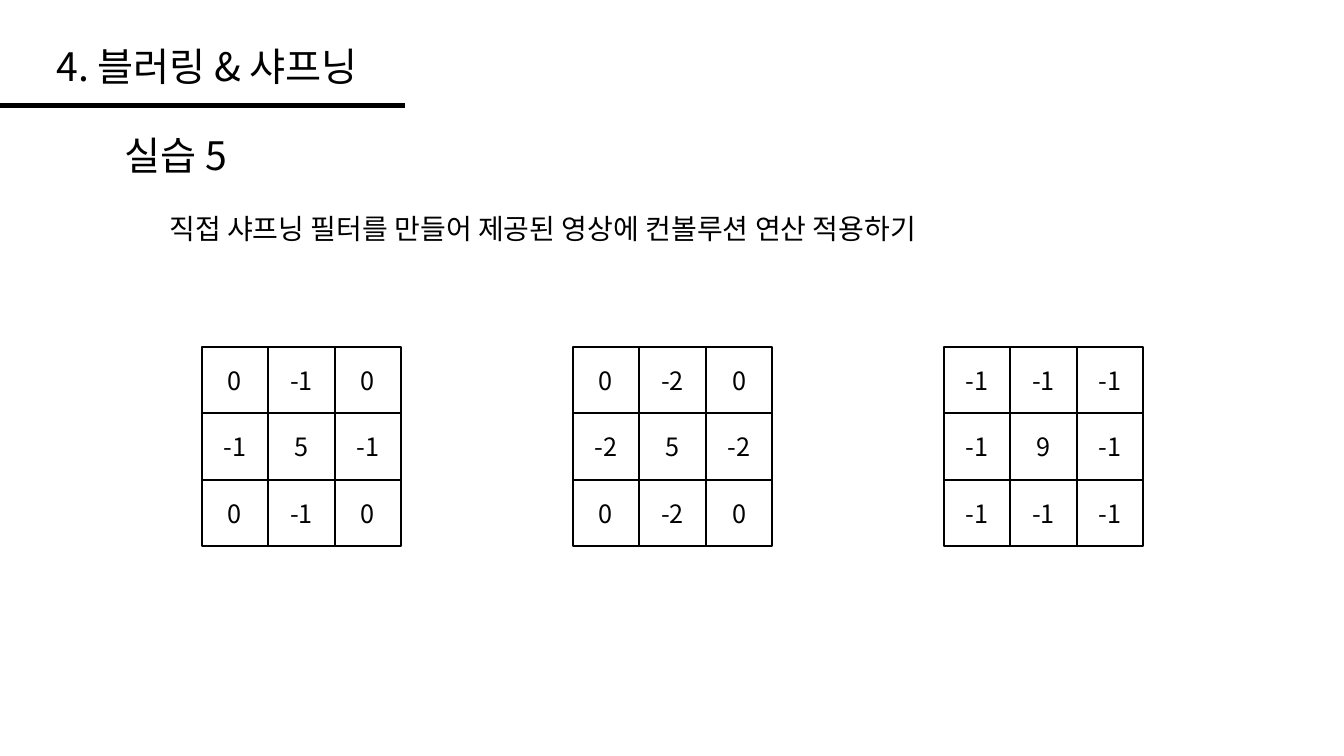
import pptx
import pptx.util
import pptx.dml.color
import pptx.enum.shapes
import pptx.enum.text
import pptx.oxml
import pptx.oxml.ns

WIDTH, HEIGHT = 13.33, 7.5
FONT = "Noto Sans CJK KR"
COLORS = {"ink": "000000", "paper": "FFFFFF"}

# Filter grid: cell side, first corner and distance between filters
CELL = 0.66
FILTER_LEFT, FILTER_TOP = 2, 3.44
FILTER_STEP = 3.68
FILTERS = [
    [[0, -1, 0], [-1, 5, -1], [0, -1, 0]],
    [[0, -2, 0], [-2, 5, -2], [0, -2, 0]],
    [[-1, -1, -1], [-1, 9, -1], [-1, -1, -1]],
]


def inches(*lengths):
    return [pptx.util.Inches(length) for length in lengths]


def color(name):
    return pptx.dml.color.RGBColor.from_string(COLORS[name])


def write_text(shape, text, size=18, centered=False, line_spacing=None):
    frame = shape.text_frame
    frame.word_wrap = True
    paragraph = frame.paragraphs[0]
    if centered:
        paragraph.alignment = pptx.enum.text.PP_ALIGN.CENTER
        frame.vertical_anchor = pptx.enum.text.MSO_ANCHOR.MIDDLE
    if line_spacing:
        paragraph.line_spacing = line_spacing
    run = paragraph.add_run()
    run.text = text
    run.font.size = pptx.util.Pt(size)
    run.font.name = FONT
    run.font.color.rgb = color("ink")
    # East Asian typeface for the Korean letters
    properties = run.font._element
    east_asian = pptx.oxml.parse_xml(
        f'<a:ea {pptx.oxml.ns.nsdecls("a")} typeface="{FONT}"/>')
    properties.find(pptx.oxml.ns.qn("a:latin")).addnext(east_asian)


def add_label(slide, text, left, top, width, height, **text_format):
    box = slide.shapes.add_textbox(*inches(left, top, width, height))
    write_text(box, text, **text_format)
    box.text_frame.auto_size = pptx.enum.text.MSO_AUTO_SIZE.SHAPE_TO_FIT_TEXT


def add_rule(slide, top, right):
    rule = slide.shapes.add_connector(
        pptx.enum.shapes.MSO_CONNECTOR.STRAIGHT, *inches(0, top, right, top))
    rule.line.color.rgb = color("ink")
    rule.line.width = pptx.util.Pt(3.5)
    rule._element.spPr.append(
        pptx.oxml.parse_xml(f'<a:effectLst {pptx.oxml.ns.nsdecls("a")}/>'))


def add_cell(group, value, left, top):
    cell = group.shapes.add_shape(
        pptx.enum.shapes.MSO_SHAPE.RECTANGLE, *inches(left, top, CELL, CELL))
    cell.shadow.inherit = False
    cell.fill.solid()
    cell.fill.fore_color.rgb = color("paper")
    cell.line.color.rgb = color("ink")
    cell.line.width = pptx.util.Pt(1.5)
    write_text(cell, str(value), centered=True)


def add_filter(slide, values, left, top):
    group = slide.shapes.add_group_shape()
    for row, row_values in enumerate(values):
        for column, value in enumerate(row_values):
            add_cell(group, value, left + column * CELL, top + row * CELL)


def main():
    presentation = pptx.Presentation()
    presentation.slide_width, presentation.slide_height = inches(WIDTH, HEIGHT)
    slide = presentation.slides.add_slide(presentation.slide_layouts[6])

    # Headings and task
    add_label(slide, "4. 블러링 & 샤프닝", 0.46, 0.37, 6.21, 0.57, size=28)
    add_rule(slide, top=1.05, right=4.02)
    add_label(slide, "실습 5", 1.14, 1.25, 7.4, 0.57, size=28)
    add_label(slide, "직접 샤프닝 필터를 만들어 제공된 영상에 컨볼루션 연산 적용하기",
              1.58, 1.88, 10.69, 0.56, size=20, line_spacing=1.5)

    # Sharpening filters
    for index, values in enumerate(FILTERS):
        add_filter(slide, values, FILTER_LEFT + index * FILTER_STEP, FILTER_TOP)

    presentation.save("out.pptx")


if __name__ == "__main__":
    main()
